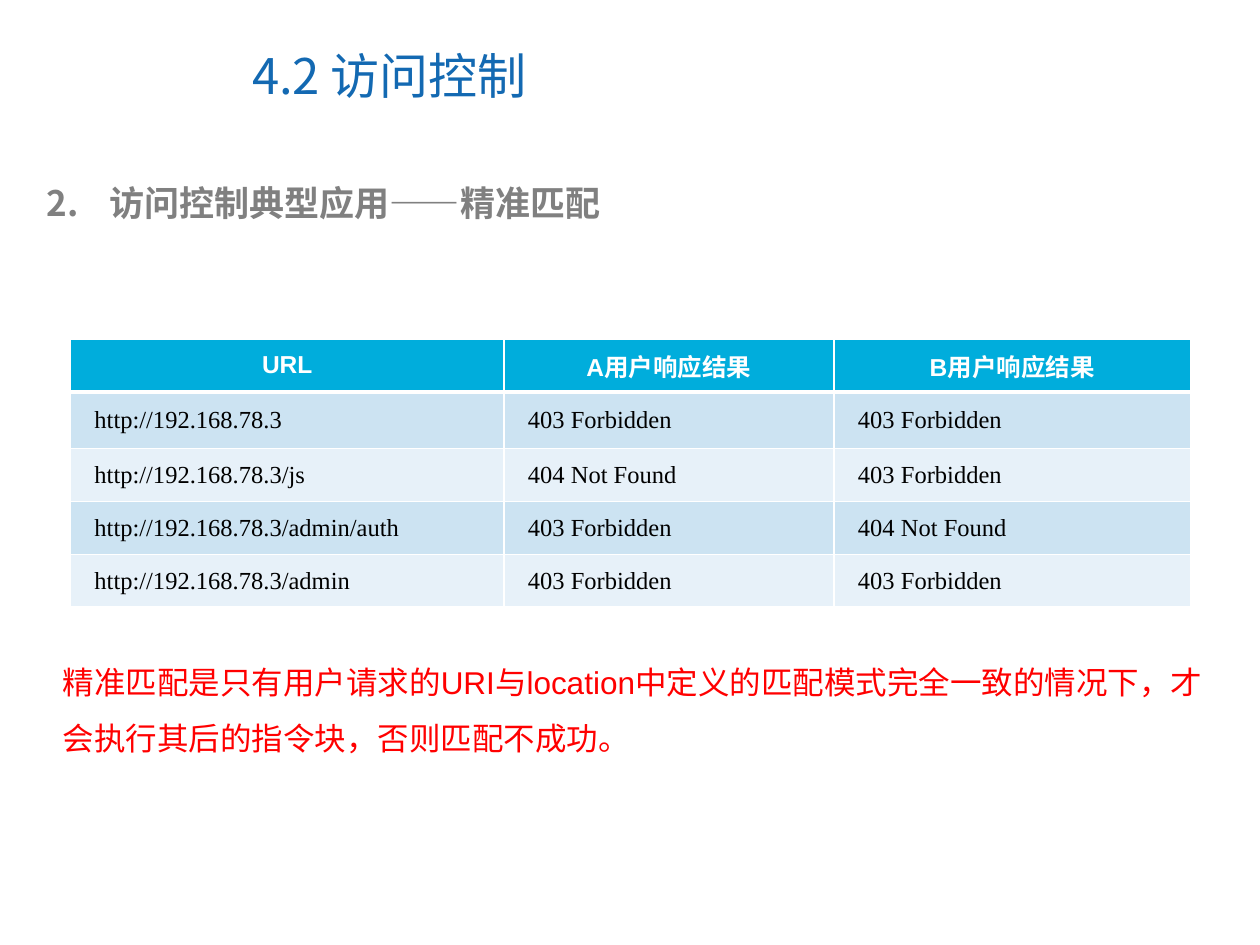
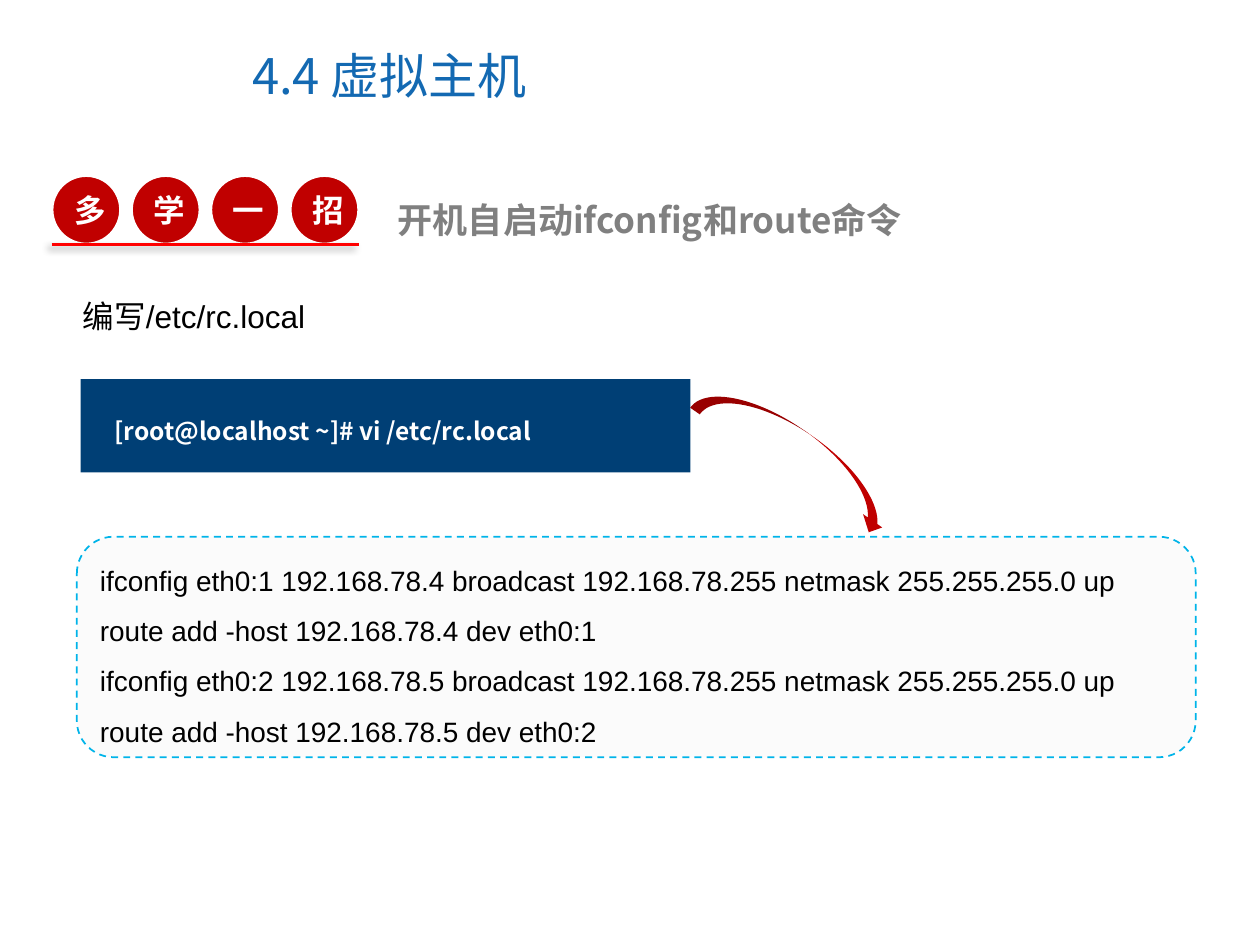
import pptx
import pptx.util
import pptx.dml.color
import pptx.enum.dml
import pptx.enum.shapes
import pptx.enum.text
import pptx.oxml
import pptx.oxml.ns

Inches = pptx.util.Inches
Pt = pptx.util.Pt
RGBColor = pptx.dml.color.RGBColor
SHAPE = pptx.enum.shapes.MSO_SHAPE
ALIGN = pptx.enum.text.PP_ALIGN
MIDDLE = pptx.enum.text.MSO_ANCHOR.MIDDLE
qn = pptx.oxml.ns.qn

TITLE_BLUE = RGBColor(0x13, 0x69, 0xB2)
HEADING_GRAY = RGBColor(0x80, 0x80, 0x80)
WHITE = RGBColor(0xFF, 0xFF, 0xFF)
BLACK = RGBColor(0, 0, 0)
NOTE_RED = RGBColor(0xFF, 0, 0)
BADGE_RED = RGBColor(0xC0, 0, 0)
HEADER_BLUE = RGBColor(0x00, 0xAD, 0xDC)
ROW_DARK = RGBColor(0xCC, 0xE3, 0xF2)
ROW_LIGHT = RGBColor(0xE7, 0xF1, 0xF9)
COMMAND_BLUE = RGBColor(0x00, 0x3F, 0x75)
PANEL_GRAY = RGBColor(0xFB, 0xFB, 0xFB)
PANEL_BORDER = RGBColor(0x00, 0xB4, 0xE9)

HAN = "Noto Sans CJK SC"
LATIN = "Arial"
SERIF = "Times New Roman"


def add_xml(parent, tag, **attributes):
    element = parent.makeelement(qn(tag), attributes)
    parent.append(element)
    return element


def add_span(para, text, size, color, font=HAN, bold=False):
    span = para.add_run()
    span.text = text
    span.font.size = Pt(size)
    span.font.bold = bold
    span.font.name = font
    span.font.color.rgb = color
    add_xml(span.font._element, "a:ea", typeface=HAN)


def add_title(page, text):
    title = page.shapes.title
    title.left, title.top = Inches(1.9), Inches(0.17)
    title.width, title.height = Inches(5.67), Inches(0.85)
    title.text_frame.vertical_anchor = MIDDLE
    para = title.text_frame.paragraphs[0]
    para.alignment = ALIGN.LEFT
    add_span(para, text, 28, TITLE_BLUE)


def add_text(page, place, text, size, color, font=HAN, bold=False, spacing=None):
    box = page.shapes.add_textbox(*map(Inches, place))
    box.text_frame.word_wrap = True
    para = box.text_frame.paragraphs[0]
    para.line_spacing = spacing
    add_span(para, text, size, color, font, bold)
    return para


def number_heading(para, start):
    properties = para._p.get_or_add_pPr()
    properties.set("marL", str(Inches(0.5)))
    properties.set("indent", str(-Inches(0.5)))
    add_xml(properties, "a:buFont", typeface=HAN)
    add_xml(properties, "a:buAutoNum", type="arabicPeriod", startAt=str(start))


def add_shape(page, kind, place, fill, line=None, width=1):
    shape = page.shapes.add_shape(kind, *map(Inches, place))
    shape.shadow.inherit = False
    shape.fill.solid()
    shape.fill.fore_color.rgb = fill
    if line is None:
        shape.line.fill.background()
    else:
        shape.line.color.rgb = line
        shape.line.width = Pt(width)
    return shape


def set_borders(cell, row):
    properties = cell._tc.get_or_add_tcPr()
    thick_sides = {0: "B", 1: "T"}
    for side in "LRTB":
        width = 3 if thick_sides.get(row) == side else 1
        border = add_xml(properties, "a:ln" + side, w=str(Pt(width)))
        fill = add_xml(border, "a:solidFill")
        add_xml(fill, "a:srgbClr", val=str(WHITE))


def fill_cell(cell, text, row):
    set_borders(cell, row)
    cell.fill.solid()
    cell.vertical_anchor = MIDDLE
    cell.margin_left = cell.margin_right = Inches(0.07)
    cell.margin_top = cell.margin_bottom = 0
    para = cell.text_frame.paragraphs[0]
    if row == 0:
        cell.fill.fore_color.rgb = HEADER_BLUE
        para.alignment = ALIGN.CENTER
        add_span(para, text, 14, WHITE, LATIN, True)
    else:
        cell.fill.fore_color.rgb = ROW_DARK if row % 2 else ROW_LIGHT
        para.alignment = ALIGN.JUSTIFY
        para._p.get_or_add_pPr().set("marL", str(Inches(0.12)))
        add_span(para, text, 14, BLACK, SERIF)


def add_response_table(page, rows, widths, heights):
    frame = page.shapes.add_table(len(rows), len(widths), Inches(0.56), Inches(2.69),
                                  Inches(sum(widths)), Inches(sum(heights)))
    table = frame.table
    for column, width in zip(table.columns, widths):
        column.width = Inches(width)
    for index, (height, texts) in enumerate(zip(heights, rows)):
        table.rows[index].height = Inches(height)
        for cell, text in zip(table.rows[index].cells, texts):
            fill_cell(cell, text, index)


def add_badges(page, letters):
    for index, letter in enumerate(letters):
        badge = add_shape(page, SHAPE.OVAL, (0.41 + 0.63 * index, 1.39, 0.55, 0.55),
                          BADGE_RED, WHITE, 2)
        badge.text_frame.vertical_anchor = MIDDLE
        para = badge.text_frame.paragraphs[0]
        para.alignment = ALIGN.CENTER
        add_span(para, letter, 18, WHITE, HAN, True)


def add_underline(page):
    line = page.shapes.add_connector(pptx.enum.shapes.MSO_CONNECTOR.STRAIGHT,
                                     Inches(0.41), Inches(1.94), Inches(2.85), Inches(1.94))
    line.line.color.rgb = NOTE_RED
    line.line.width = Pt(1.5)
    effects = add_xml(line._element.spPr, "a:effectLst")
    shadow = add_xml(effects, "a:outerShdw", blurRad=str(Pt(4)), dist=str(Pt(3)),
                     dir=str(135 * 60000), algn="tr", rotWithShape="0")
    color = add_xml(shadow, "a:srgbClr", val=str(BLACK))
    add_xml(color, "a:alpha", val="40000")


def add_script_panel(page, commands):
    panel = add_shape(page, SHAPE.ROUNDED_RECTANGLE, (0.61, 4.26, 8.88, 1.75),
                      PANEL_GRAY, PANEL_BORDER)
    panel.line.dash_style = pptx.enum.dml.MSO_LINE.DASH
    frame = panel.text_frame
    frame.vertical_anchor = MIDDLE
    for index, command in enumerate(commands):
        para = frame.add_paragraph() if index else frame.paragraphs[0]
        para.alignment = ALIGN.LEFT
        para.line_spacing = 1.5
        add_span(para, command, 16, BLACK, LATIN)


def build_access_control(page):
    add_title(page, "4.2 访问控制")
    heading = add_text(page, (0.27, 1.39, 9.22, 0.44), "访问控制典型应用——精准匹配",
                       20, HEADING_GRAY, bold=True)
    number_heading(heading, 2)
    forbidden, missing = "403 Forbidden", "404 Not Found"
    host = "http://192.168.78.3"
    rows = [
        ("URL", "A用户响应结果", "B用户响应结果"),
        (host, forbidden, forbidden),
        (host + "/js", missing, forbidden),
        (host + "/admin/auth", forbidden, missing),
        (host + "/admin", forbidden, forbidden),
    ]
    add_response_table(page, rows, (3.44, 2.62, 2.83), (0.42, 0.45, 0.42, 0.42, 0.42))
    add_text(page, (0.4, 5.06, 9.34, 0.95),
             "精准匹配是只有用户请求的URI与location中定义的匹配模式完全一致的情况下，"
             "才会执行其后的指令块，否则匹配不成功。", 18, NOTE_RED, LATIN, spacing=1.5)


def build_virtual_host(page):
    add_title(page, "4.4 虚拟主机")
    add_badges(page, "多学一招")
    add_underline(page)
    add_text(page, (3.06, 1.53, 6.43, 0.44), "开机自启动ifconfig和route命令",
             20, HEADING_GRAY, bold=True)
    add_text(page, (0.56, 2.16, 9.18, 0.56), "编写/etc/rc.local",
             18, BLACK, LATIN, spacing=1.5)
    add_shape(page, SHAPE.RECTANGLE, (0.64, 3.01, 4.84, 0.74), COMMAND_BLUE)
    add_text(page, (0.81, 3.02, 4.67, 0.5), "[root@localhost ~]# vi /etc/rc.local",
             14, WHITE, bold=True, spacing=2.0)
    add_script_panel(page, [
        "ifconfig eth0:1 192.168.78.4 broadcast 192.168.78.255 netmask 255.255.255.0 up",
        "route add -host 192.168.78.4 dev eth0:1",
        "ifconfig eth0:2 192.168.78.5 broadcast 192.168.78.255 netmask 255.255.255.0 up",
        "route add -host 192.168.78.5 dev eth0:2",
    ])
    arrow = add_shape(page, SHAPE.CURVED_DOWN_ARROW, (5.42, 3.42, 1.82, 0.37), BADGE_RED)
    arrow.rotation = 34.9


def main():
    deck = pptx.Presentation()
    deck.slide_width, deck.slide_height = Inches(10), Inches(7.5)
    for build in (build_access_control, build_virtual_host):
        build(deck.slides.add_slide(deck.slide_layouts[5]))
    deck.save("out.pptx")


if __name__ == "__main__":
    main()
